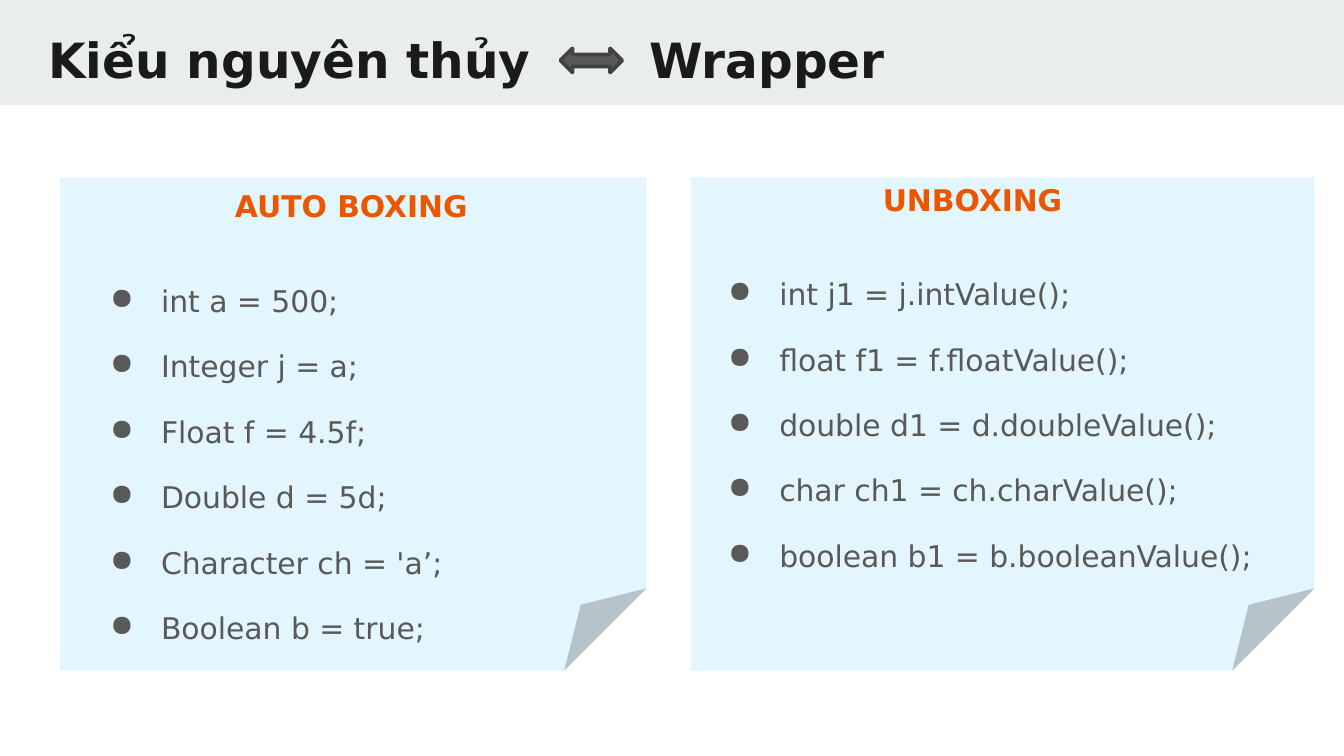
from dataclasses import dataclass

from lxml.etree import SubElement
from pptx import Presentation
from pptx.dml.color import RGBColor as Color
from pptx.enum.shapes import MSO_SHAPE as Preset
from pptx.enum.text import MSO_ANCHOR as Anchor, MSO_AUTO_SIZE as AutoSize, PP_ALIGN as Align
from pptx.oxml.ns import qn
from pptx.util import Inches, Pt


@dataclass(frozen=True)
class Theme:
    font: str = "DejaVu Sans"
    ink: str = "1A1A1A"
    body: str = "595959"
    accent: str = "EB5600"
    band: str = "E9EDEE"
    note: str = "E4F6FD"
    outline: str = "424242"
    title_size: int = 26
    body_size: int = 16


class SlideBuilder:
    """Draws themed elements on one slide."""

    def __init__(self, page, theme):
        self.page = page
        self.theme = theme

    def style(self, para, size, color, bold=False):
        for span in para.runs:
            span.font.name = self.theme.font
            span.font.size = Pt(size)
            span.font.bold = bold
            span.font.color.rgb = Color.from_string(color)

    def frame(self, box, top_inset=0.1):
        frame = box.text_frame
        frame.word_wrap = True
        frame.auto_size = AutoSize.NONE
        frame.vertical_anchor = Anchor.TOP
        frame.margin_left = frame.margin_right = frame.margin_bottom = Inches(0.1)
        frame.margin_top = Inches(top_inset)
        return frame

    def shape(self, preset, place, fill, line=None):
        shape = self.page.shapes.add_shape(preset, *map(Inches, place))
        shape.shadow.inherit = False
        shape.fill.solid()
        shape.fill.fore_color.rgb = Color.from_string(fill)
        if line:
            shape.line.color.rgb = Color.from_string(line)
            shape.line.width = Pt(2)
        else:
            shape.line.fill.background()
        return shape

    def header(self, place):
        band = self.shape(Preset.RECTANGLE, place, self.theme.band)
        self.page.shapes.title.element.addprevious(band.element)

    def title(self, text, place, tab_stop):
        box = self.page.shapes.title
        box.left, box.top, box.width, box.height = map(Inches, place)
        frame = self.frame(box)
        frame.text = text
        para = frame.paragraphs[0]
        para.alignment = Align.LEFT
        tabs = SubElement(para._p.get_or_add_pPr(), qn("a:tabLst"))
        SubElement(tabs, qn("a:tab"), pos=str(Inches(tab_stop)), algn="l")
        self.style(para, self.theme.title_size, self.theme.ink, bold=True)

    def text(self, lines, place, color, bold=False, bullet=None, top_inset=0.1):
        box = self.page.shapes.add_textbox(*map(Inches, place))
        frame = self.frame(box, top_inset)
        frame.text = "\n".join(lines)
        for para in frame.paragraphs:
            para.line_spacing = 1.2
            para.space_before = para.space_after = Pt(6)
            self.style(para, self.theme.body_size, color, bold)
            self.indent(para, color, bullet)

    def indent(self, para, color, bullet):
        props = para._p.get_or_add_pPr()
        props.set("marL", str(Inches(0.5 if bullet else 0.12)))
        props.set("indent", str(Inches(-0.38 if bullet else 0)))
        if bullet:
            tint = SubElement(props, qn("a:buClr"))
            SubElement(tint, qn("a:srgbClr"), val=color)
            SubElement(props, qn("a:buChar"), char=bullet)


BOXING = [
    "int a = 500;",
    "Integer j = a;",
    "Float f = 4.5f;",
    "Double d = 5d;",
    "Character ch = 'a’;",
    "Boolean b = true;",
]
UNBOXING = [
    "int j1 = j.intValue();",
    "float f1 = f.floatValue();",
    "double d1 = d.doubleValue();",
    "char ch1 = ch.charValue();",
    "boolean b1 = b.booleanValue();",
]


def main():
    deck = Presentation()
    deck.slide_width = Inches(10)
    deck.slide_height = deck.slide_width * 9 // 16
    theme = Theme()
    slide = SlideBuilder(deck.slides.add_slide(deck.slide_layouts[5]), theme)

    slide.header((0, 0, 10, 0.78))
    slide.title("Kiểu nguyên thủy\tWrapper", (0.26, 0.12, 9.52, 0.59), tab_stop=4.47)
    slide.shape(Preset.LEFT_RIGHT_ARROW, (4.17, 0.36, 0.46, 0.18), theme.body, theme.outline)

    for left, width in ((0.45, 4.36), (5.14, 4.64)):
        slide.shape(Preset.FOLDED_CORNER, (left, 1.32, width, 3.67), theme.note)

    slide.text(BOXING, (0.6, 1.95, 2.98, 3.04), theme.body, bullet="●")
    slide.text(UNBOXING, (5.2, 1.46, 4.58, 3.33), theme.body, bullet="●", top_inset=0.54)

    for heading, left, top in (("AUTO BOXING", 1.53, 1.24), ("UNBOXING", 6.35, 1.2)):
        slide.text([heading], (left, top, 2.39, 0.79), theme.accent, bold=True)

    deck.save("out.pptx")


if __name__ == "__main__":
    main()
